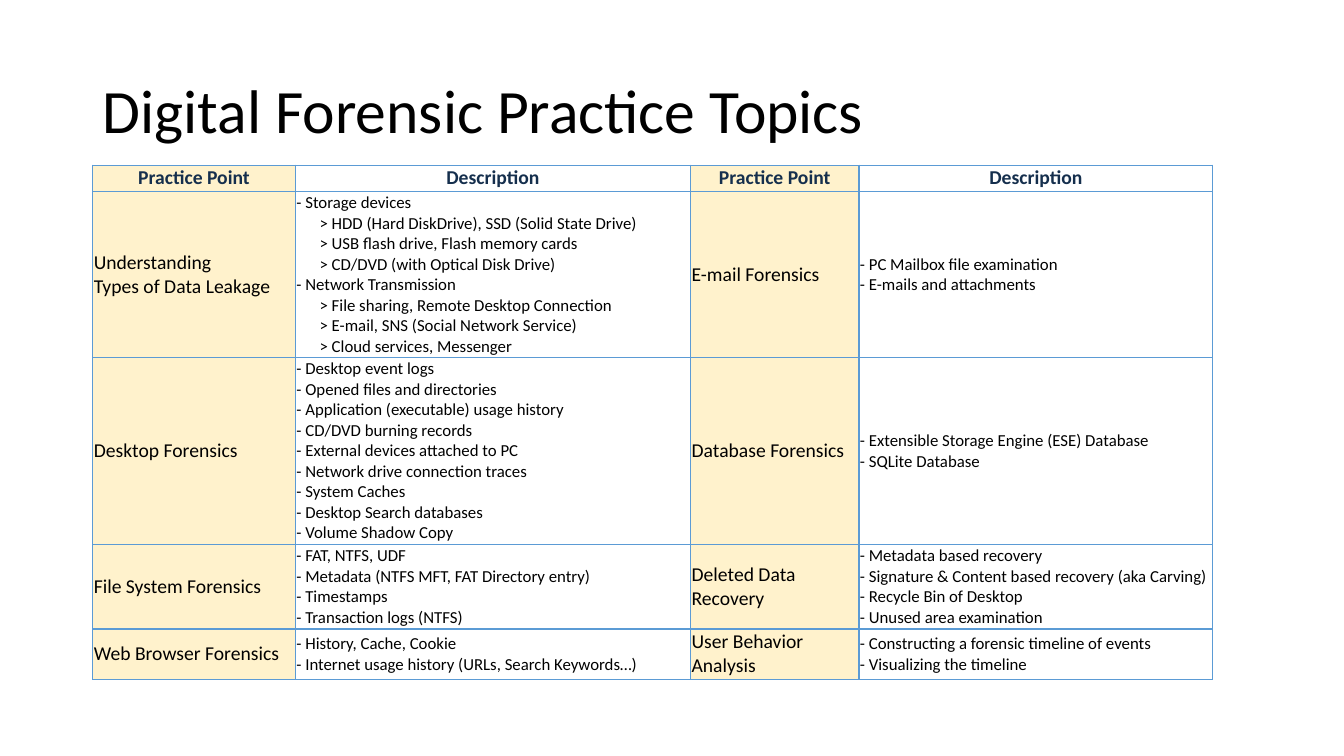
from pptx import Presentation
from pptx.dml.color import RGBColor
from pptx.enum.text import MSO_ANCHOR, PP_ALIGN
from pptx.oxml import parse_xml
from pptx.oxml.ns import nsdecls
from pptx.util import Inches, Pt

FONT = "Calibri"
BLACK = RGBColor(0x00, 0x00, 0x00)
NAVY = RGBColor(0x15, 0x2F, 0x4D)
CREAM = RGBColor(0xFF, 0xF2, 0xCC)
BLUE = RGBColor(0x5B, 0x9B, 0xD5)

HEADER = dict(size=Pt(14), bold=True, color=NAVY)
POINT = dict(size=Pt(14), bold=False, color=BLACK)
DESCRIPTION = dict(size=Pt(12), bold=False, color=BLACK)

COL_WIDTHS = [2.01, 3.92, 1.67, 3.51]
ROW_HEIGHTS = [0.26, 1.65, 1.85, 0.84, 0.5]
SUB_INDENT = Inches(0.23)

HEADERS = ["Practice Point", "Description"] * 2
TOPICS = [
    [
        "Understanding\nTypes of Data Leakage",
        "- Storage devices\n"
        "> HDD (Hard DiskDrive), SSD (Solid State Drive)\n"
        "> USB flash drive, Flash memory cards\n"
        "> CD/DVD (with Optical Disk Drive)\n"
        "- Network Transmission\n"
        "> File sharing, Remote Desktop Connection\n"
        "> E-mail, SNS (Social Network Service)\n"
        "> Cloud services, Messenger",
        "E-mail Forensics",
        "- PC Mailbox file examination\n- E-mails and attachments",
    ],
    [
        "Desktop Forensics",
        "- Desktop event logs\n"
        "- Opened files and directories\n"
        "- Application (executable) usage history\n"
        "- CD/DVD burning records\n"
        "- External devices attached to PC\n"
        "- Network drive connection traces\n"
        "- System Caches\n"
        "- Desktop Search databases\n"
        "- Volume Shadow Copy",
        "Database Forensics",
        "- Extensible Storage Engine (ESE) Database\n- SQLite Database",
    ],
    [
        "File System Forensics",
        "- FAT, NTFS, UDF\n"
        "- Metadata (NTFS MFT, FAT Directory entry)\n"
        "- Timestamps\n"
        "- Transaction logs (NTFS)",
        "Deleted Data Recovery",
        "- Metadata based recovery\n"
        "- Signature & Content based recovery (aka Carving)\n"
        "- Recycle Bin of Desktop\n"
        "- Unused area examination",
    ],
    [
        "Web Browser Forensics",
        "- History, Cache, Cookie\n"
        "- Internet usage history (URLs, Search Keywords…)",
        "User Behavior Analysis",
        "- Constructing a forensic timeline of events\n- Visualizing the timeline",
    ],
]


def set_font(font, color, **values):
    font.name = FONT
    font.color.rgb = color
    for name, value in values.items():
        setattr(font, name, value)


def add_title(slide, text, left, top, width, height):
    title = slide.shapes.title
    box = dict(left=left, top=top, width=width, height=height)
    for name, value in box.items():
        setattr(title, name, Inches(value))
    tf = title.text_frame
    tf.text = text
    tf.word_wrap = True
    tf.vertical_anchor = MSO_ANCHOR.MIDDLE
    p = tf.paragraphs[0]
    p.alignment = PP_ALIGN.LEFT
    p.line_spacing = 0.9
    set_font(p.runs[0].font, BLACK, size=Pt(44))


def set_borders(cell):
    tcPr = cell._tc.get_or_add_tcPr()
    for side in "LRTB":
        tcPr.append(parse_xml(
            f'<a:ln{side} {nsdecls("a")} w="{Pt(1)}"><a:solidFill>'
            f'<a:srgbClr val="{BLUE}"/></a:solidFill></a:ln{side}>'))


def fill_cell(cell, text, style, shaded):
    """Write text one paragraph a line; lines that open with > are indented."""
    set_borders(cell)
    if shaded:
        cell.fill.solid()
        cell.fill.fore_color.rgb = CREAM
    else:
        cell.fill.background()
    for side in ("left", "right", "top", "bottom"):
        setattr(cell, f"margin_{side}", Inches(0.01))
    cell.vertical_anchor = MSO_ANCHOR.TOP if style is HEADER else MSO_ANCHOR.MIDDLE
    cell.text = text
    for p in cell.text_frame.paragraphs:
        p.alignment = PP_ALIGN.CENTER if style is HEADER else PP_ALIGN.LEFT
        if p.text.startswith(">"):
            p._p.get_or_add_pPr().set("marL", str(SUB_INDENT))
        set_font(p.runs[0].font, **style)


def add_topics_table(slide, left, top):
    rows = [HEADERS] + TOPICS
    table = slide.shapes.add_table(
        len(rows), len(HEADERS), Inches(left), Inches(top),
        Inches(sum(COL_WIDTHS)), Inches(sum(ROW_HEIGHTS))).table
    table.horz_banding = False
    for column, width in zip(table.columns, COL_WIDTHS):
        column.width = Inches(width)
    for row, height in zip(table.rows, ROW_HEIGHTS):
        row.height = Inches(height)
    for i, texts in enumerate(rows):
        for j, text in enumerate(texts):
            is_point = j % 2 == 0
            style = HEADER if i == 0 else POINT if is_point else DESCRIPTION
            fill_cell(table.cell(i, j), text, style, is_point)


def main():
    prs = Presentation()
    prs.slide_width, prs.slide_height = Inches(13.33), Inches(7.5)
    slide = prs.slides.add_slide(prs.slide_layouts[5])
    add_title(slide, "Digital Forensic Practice Topics", 0.92, 0.4, 11.5, 1.45)
    add_topics_table(slide, 0.92, 1.64)
    prs.save("out.pptx")


if __name__ == "__main__":
    main()
